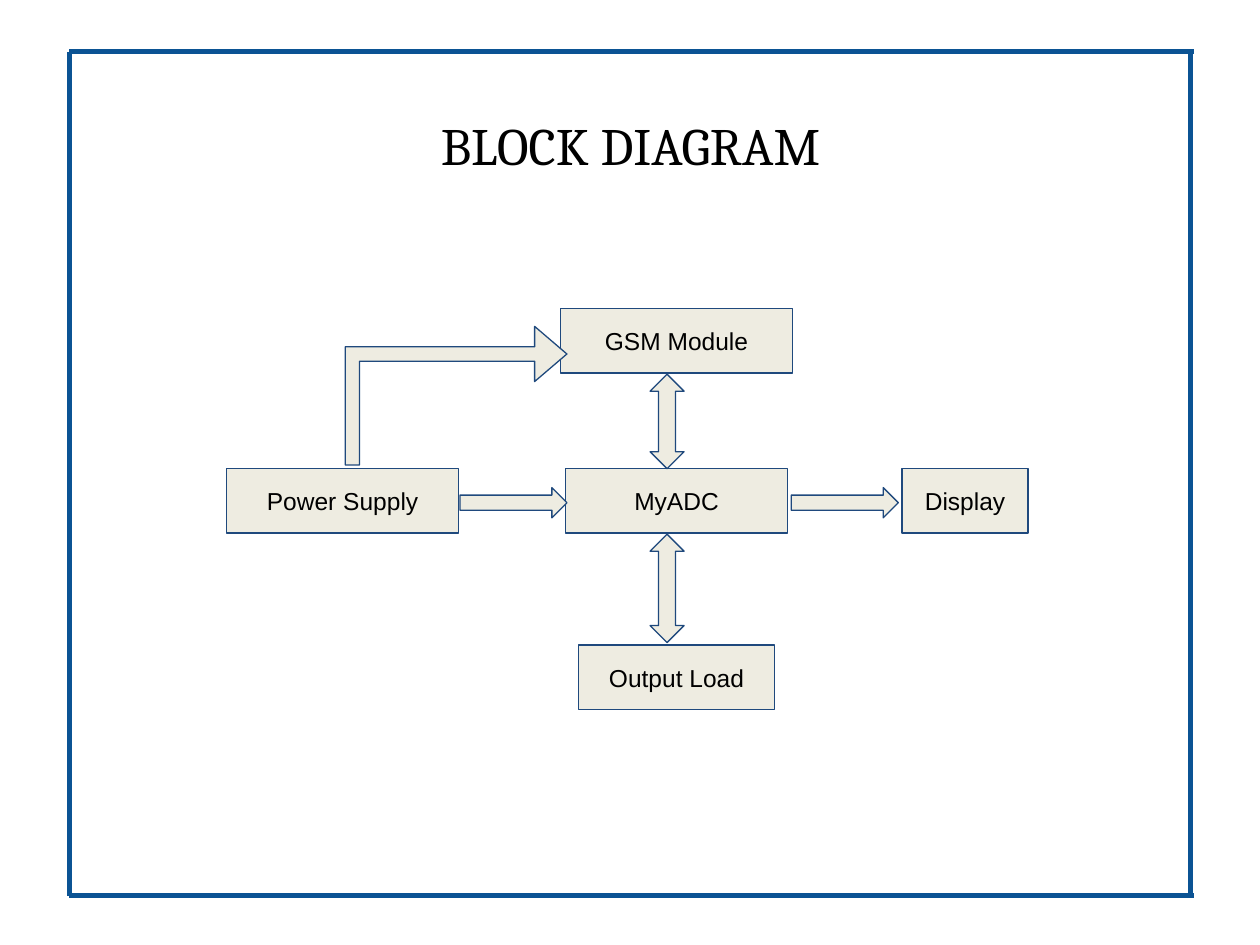
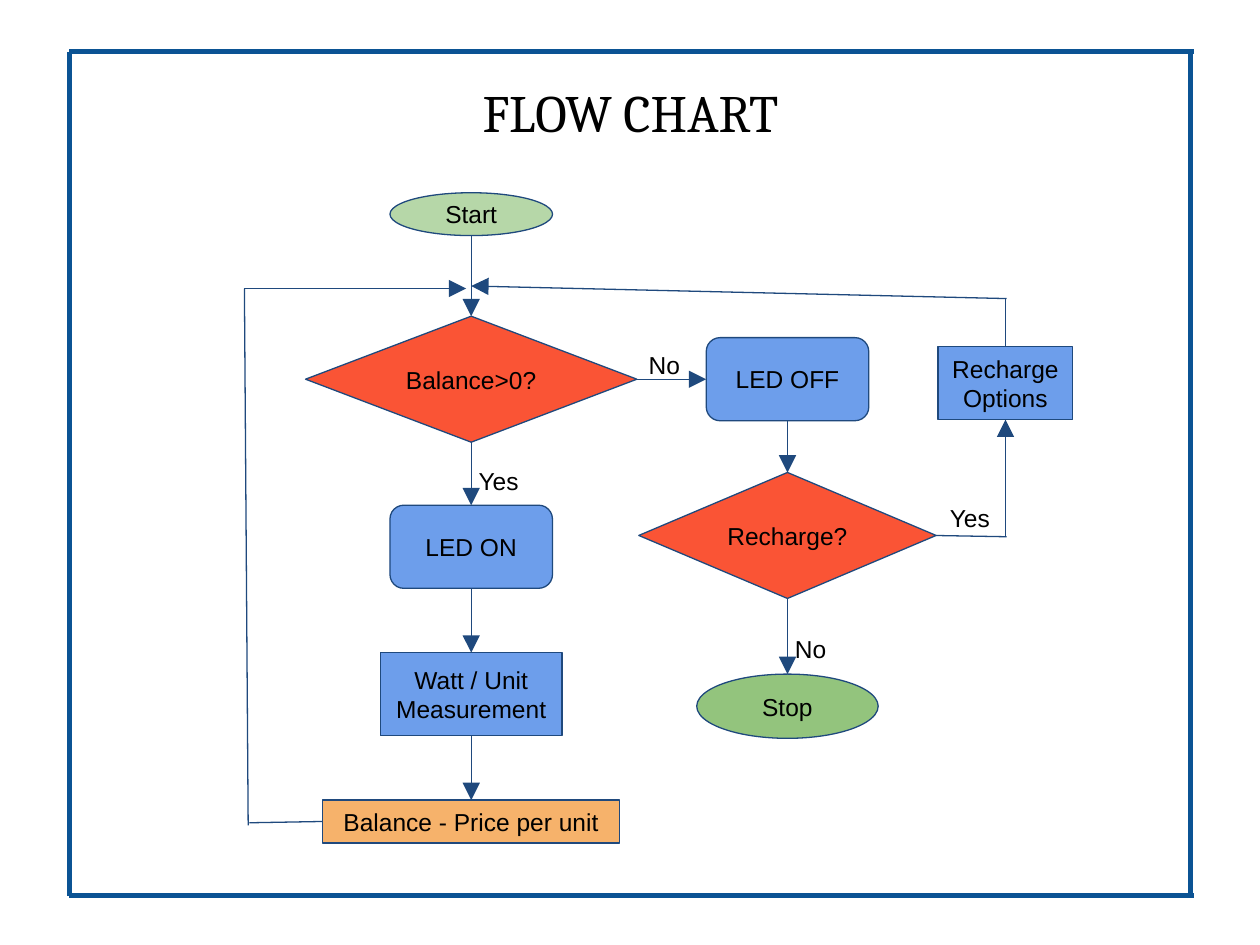
"""Builds a block diagram slide and a flow chart slide for a prepaid energy meter."""
from lxml import etree
from pptx import Presentation
from pptx import util as u
from pptx.dml.color import RGBColor
from pptx.enum import shapes, text
from pptx.oxml.ns import qn

KIND = shapes.MSO_SHAPE
FRAME, OUTLINE, INK = "0B5394", "1F497D", "000000"
STONE, BLUE, RED, ORANGE = "EEECE1", "6D9EEB", "FA3712", "F6B26B"
PALE_GREEN, GREEN = "B6D7A8", "93C47D"
TOP, LEFT, BOTTOM, RIGHT = range(4)


def paint(fill, colour, opacity=100):
    """Give a fill a solid colour, see-through when opacity is below 100."""
    fill.solid()
    fill.fore_color.rgb = RGBColor.from_string(colour)
    if opacity < 100:
        colour_node = fill._xPr.find(".//" + qn("a:srgbClr"))
        etree.SubElement(colour_node, qn("a:alpha"), val=str(opacity * 1000))


def write(shape, words, size=14, font="Arial", align=text.PP_ALIGN.CENTER,
          anchor=text.MSO_ANCHOR.MIDDLE):
    """Put one paragraph of text into a shape."""
    frame = shape.text_frame
    frame.word_wrap = True
    frame.vertical_anchor = anchor
    frame.margin_left = frame.margin_right = u.Inches(0.1)
    frame.margin_top = frame.margin_bottom = u.Inches(0.1)
    para = frame.paragraphs[0]
    para.text = words
    para.alignment = align
    para.font.size = u.Pt(size)
    para.font.name = font
    paint(para.font.fill, INK)


def add_title(page, words, top, height):
    """Add the centred slide title."""
    box = page.shapes.add_textbox(*map(u.Inches, (1.27, top, 7.47, height)))
    write(box, words, 30, "Cambria")


def add_label(page, words, left, top):
    """Add a small answer beside a branch."""
    box = page.shapes.add_textbox(*map(u.Inches, (left, top, 0.55, 0.31)))
    write(box, words, align=text.PP_ALIGN.LEFT, anchor=text.MSO_ANCHOR.TOP)


def add_figure(page, kind, left, top, width, height, colour, opacity=100):
    """Add an outlined preset shape without a shadow."""
    shape = page.shapes.add_shape(kind, *map(u.Inches, (left, top, width, height)))
    shape.shadow.inherit = False
    paint(shape.fill, colour, opacity)
    paint(shape.line.fill, OUTLINE)
    shape.line.width = u.Pt(0.75)
    return shape


def add_node(page, words, centre, top, width, height, colour,
             kind=KIND.FLOWCHART_PROCESS, opacity=100):
    """Add a captioned figure centred on a column."""
    node = add_figure(page, kind, centre - width / 2, top, width, height, colour, opacity)
    write(node, words)
    return node


def add_line(page, start, end, arrow=False, colour=OUTLINE, weight=0.75):
    """Join two ends, each an (x, y) point or a (node, side) pair."""
    ends = [point if isinstance(point[0], (int, float)) else (0, 0)
            for point in (start, end)]
    line = page.shapes.add_connector(
        shapes.MSO_CONNECTOR.STRAIGHT, *map(u.Inches, ends[0] + ends[1]))
    if ends[0] != start:
        line.begin_connect(*start)
    if ends[1] != end:
        line.end_connect(*end)
    paint(line.line.fill, colour)
    line.line.width = u.Pt(weight)
    if arrow:
        etree.SubElement(line.line._get_or_add_ln(), qn("a:tailEnd"),
                         type="triangle", w="lg", len="lg")
    etree.SubElement(line._element.spPr, qn("a:effectLst"))


def add_page(deck):
    """Add a blank slide with the blue frame."""
    page = deck.slides.add_slide(deck.slide_layouts[6])
    for x in (0.55, 9.45):
        add_line(page, (x, 0.41), (x, 7.11), colour=FRAME, weight=3)
    for y in (0.41, 7.11):
        add_line(page, (0.55, y), (9.48, y), colour=FRAME, weight=3)
    return page


def build_block_diagram(deck):
    """Build the slide with the hardware blocks."""
    page = add_page(deck)
    add_title(page, "BLOCK DIAGRAM", 0.66, 0.97)
    for words, centre, top, width in (
            ("Power Supply", 2.72, 3.72, 1.84), ("Output Load", 5.37, 5.12, 1.56),
            ("Display", 7.66, 3.72, 1), ("MyADC", 5.37, 3.72, 1.76),
            ("GSM Module", 5.37, 2.45, 1.84)):
        add_node(page, words, centre, top, width, 0.51, STONE)
    for left in (3.65, 6.28):
        add_figure(page, KIND.RIGHT_ARROW, left, 3.87, 0.85, 0.24, STONE)
    for top, height in ((2.97, 0.75), (4.24, 0.86)):
        add_figure(page, KIND.UP_DOWN_ARROW, 5.16, top, 0.27, height, STONE)
    bend = add_figure(page, KIND.BENT_UP_ARROW, 3.07, 2.26, 1.1, 1.76, STONE)
    for index, value in enumerate((0.104, 0.199, 0.233)):
        bend.adjustments[index] = value
    bend.rotation = 90
    bend._element.spPr.xfrm.set("flipH", "1")


def build_flow_chart(deck):
    """Build the slide with the metering logic."""
    page = add_page(deck)
    add_title(page, "FLOW CHART", 0.55, 0.67)
    meter, recharge, options = 3.74, 6.25, 7.98
    rounded, decision = KIND.FLOWCHART_ALTERNATE_PROCESS, KIND.FLOWCHART_DECISION

    add_node(page, "Start", meter, 1.53, 1.29, 0.34, PALE_GREEN, KIND.OVAL)
    has_balance = add_node(page, "Balance>0?", meter, 2.51, 2.63, 1, RED, decision, 85)
    led_on = add_node(page, "LED ON", meter, 4.01, 1.29, 0.66, BLUE, rounded)
    measure = add_node(page, "Watt / Unit Measurement", meter, 5.18, 1.44, 0.66, BLUE)
    deduct = add_node(page, "Balance - Price per unit", meter, 6.35, 2.36, 0.34, ORANGE)
    led_off = add_node(page, "LED OFF", recharge, 2.68, 1.29, 0.66, BLUE, rounded)
    ask = add_node(page, "Recharge?", recharge, 3.75, 2.36, 1, RED, decision, 85)
    stop = add_node(page, "Stop", recharge, 5.35, 1.44, 0.51, GREEN, KIND.OVAL)
    choose = add_node(page, "Recharge Options", options, 2.75, 1.07, 0.58, BLUE)

    add_line(page, (meter, 1.87), (has_balance, TOP), arrow=True)
    for upper, lower in ((has_balance, led_on), (led_on, measure), (measure, deduct),
                         (led_off, ask), (ask, stop)):
        add_line(page, (upper, BOTTOM), (lower, TOP), arrow=True)
    add_line(page, (has_balance, RIGHT), (led_off, LEFT), arrow=True)

    add_line(page, (ask, RIGHT), (7.99, 4.26))
    add_line(page, (options, 4.25), (choose, BOTTOM), arrow=True)
    add_line(page, (choose, TOP), (options, 2.37))
    add_line(page, (7.99, 2.37), (meter, 2.27), arrow=True)
    add_line(page, (deduct, LEFT), (1.98, 6.53))
    add_line(page, (1.97, 6.55), (1.94, 2.29))
    add_line(page, (1.94, 2.29), (3.7, 2.29), arrow=True)

    for words, left, top in (("Yes", 3.7, 3.6), ("No", 6.21, 4.93),
                             ("Yes", 7.44, 3.89), ("No", 5.05, 2.68)):
        add_label(page, words, left, top)


def main():
    """Build both slides and save the deck."""
    deck = Presentation()
    deck.slide_width, deck.slide_height = u.Inches(10), u.Inches(7.5)
    build_block_diagram(deck)
    build_flow_chart(deck)
    deck.save("out.pptx")


if __name__ == "__main__":
    main()
